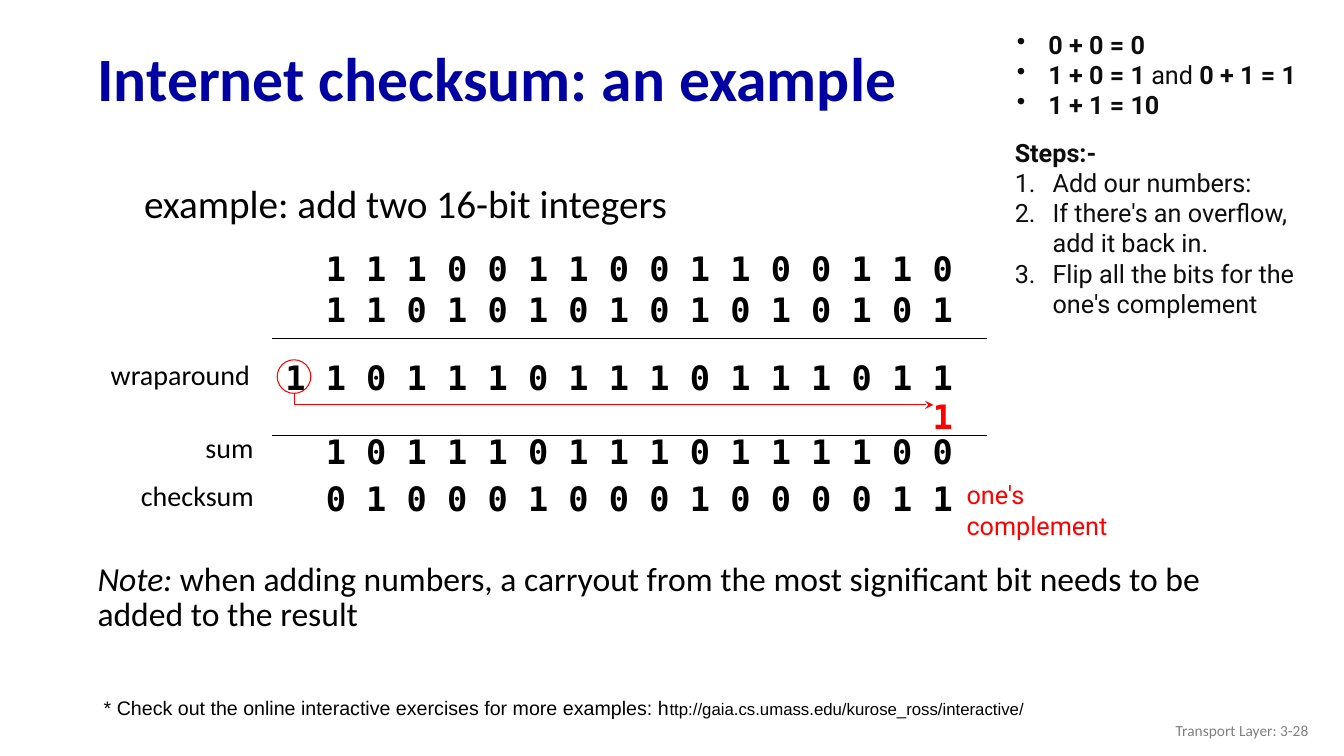
from pptx import Presentation
from pptx import util as u
from pptx.dml.color import RGBColor
from pptx.enum import shapes, text
from pptx.oxml.ns import qn
from lxml import etree

Pt = u.Pt
BLACK, RED, INK = "000000", "FF0000", "0D0D0D"
MONO_ADVANCE = 14.45
INSET = 7.2


def color(value):
    return RGBColor.from_string(value)


def add_text(slide, box, paragraphs, size, font="Calibri", ink=BLACK, bold=False, wrap=True):
    frame = slide.shapes.add_textbox(*map(Pt, box)).text_frame
    frame.word_wrap = wrap
    for index, parts in enumerate(paragraphs):
        paragraph = frame.add_paragraph() if index else frame.paragraphs[0]
        for part in parts:
            paragraph.add_run().text = part
        for run in paragraph.runs:
            run.font.size, run.font.name, run.font.bold = Pt(size), font, bold
            run.font.color.rgb = color(ink)
    return frame


def add_marker(paragraph, indent, tag, **attributes):
    properties = paragraph._p.get_or_add_pPr()
    properties.set("marL", str(Pt(indent)))
    properties.set("indent", str(-Pt(indent)))
    etree.SubElement(properties, qn(tag), attributes)


def add_rule(slide, left, right, y):
    rule = slide.shapes.add_connector(
        shapes.MSO_CONNECTOR.STRAIGHT, Pt(left), Pt(y), Pt(right), Pt(y))
    rule.line.color.rgb = color(BLACK)
    rule.line.width = Pt(1)
    etree.SubElement(rule._element.spPr, qn("a:effectLst"))


def outline_red(mark):
    mark.shadow.inherit = False
    mark.fill.background()
    mark.line.color.rgb = color(RED)
    mark.line.width = Pt(0.75)


def add_heading(slide, box):
    frame = add_text(slide, box, [["Internet checksum: an example"]], 44, ink="0000A3", bold=True)
    frame.vertical_anchor = text.MSO_ANCHOR.MIDDLE
    frame.paragraphs[0].line_spacing = 0.9


def add_example_line(slide, box):
    frame = add_text(slide, box, [["example: add two 16-bit integers"]], 28)
    frame.paragraphs[0].line_spacing = 1.3


def add_carry_arrow(slide, left, top):
    ring = slide.shapes.add_shape(
        shapes.MSO_SHAPE.OVAL, Pt(left), Pt(top), Pt(24), Pt(24))
    outline_red(ring)
    start_x, start_y = left + 12.2, top + 24.5
    builder = slide.shapes.build_freeform(Pt(start_x), Pt(start_y))
    builder.add_line_segments(
        [(Pt(start_x), Pt(start_y + 7.7)), (Pt(start_x + 456.5), Pt(start_y + 7.7))], close=False)
    arrow = builder.convert_to_shape()
    outline_red(arrow)
    etree.SubElement(arrow.line._get_or_add_ln(), qn("a:tailEnd"), type="stealth")


def add_addition(slide, box):
    left, top, width, _ = box
    right = left + width
    rows = [
        ("1110011001100110", 0, BLACK),
        ("1101010101010101", 29.5, BLACK),
        ("11011101110111011", 77.8, BLACK),
        ("1", 105.8, RED),
        ("1011101110111100", 131, BLACK),
        ("0100010001000011", 164.2, BLACK),
    ]
    for bits, offset, ink in rows:
        digits = " ".join(bits)
        row_width = len(digits) * MONO_ADVANCE + 2 * INSET
        add_text(slide, (right - 17 - row_width, top + offset, row_width, 36),
                 [[digits]], 24, "DejaVu Sans Mono", ink, bold=True, wrap=False)

    labels = [("wraparound", 0, 78.5, 114.5), ("sum", 67.7, 130.4, 50.4), ("checksum", 21.6, 165, 96.5)]
    for label, indent, offset, label_width in labels:
        add_text(slide, (left + indent, top + offset, label_width, 31.5), [[label]], 20, wrap=False)

    for offset in (68.4, 137.5):
        add_rule(slide, left + 122.5, right, top + offset)
    add_carry_arrow(slide, left + 126, top + 83.5)
    add_text(slide, (right - 21.7, top + 165.6, 159.8, 29),
             [["one's complement"]], 18, "Roboto", RED)


def add_binary_rules(slide, box):
    frame = add_text(slide, box, [["0 + 0 = 0"], ["1 + 0 = 1", " and ", "0 + 1 = 1"], ["1 + 1 = 10"]],
                     18, "Roboto", INK, bold=True)
    for paragraph in frame.paragraphs:
        add_marker(paragraph, 22.5, "a:buChar", char="•")
    frame.paragraphs[1].runs[1].font.bold = False


def add_steps(slide, box):
    frame = add_text(slide, box, [
        ["Steps:-"],
        ["Add our numbers:"],
        ["If there's an overflow, add it back in."],
        ["Flip all the bits for the one's complement"],
    ], 18, "Roboto", INK)
    heading, *steps = frame.paragraphs
    heading.runs[0].font.bold = True
    for step in steps:
        add_marker(step, 27, "a:buAutoNum", type="arabicPeriod")


def add_note(slide, box):
    frame = add_text(slide, box, [[
        "Note:",
        " when adding numbers, a carryout from the most significant bit needs to be added to the result",
    ]], 24)
    note = frame.paragraphs[0]
    note.line_spacing = 0.85
    note.runs[0].font.italic = True


def add_exercises(slide, box):
    frame = add_text(slide, box, [[
        "* Check out the online interactive exercises for more examples: h",
        "ttp://gaia.cs.umass.edu/kurose_ross/interactive/",
    ]], 14, "Arial")
    frame.paragraphs[0].runs[1].font.size = Pt(12)


def add_footer(slide, box):
    frame = add_text(slide, box, [["Transport Layer: 3-28"]], 11, ink="808080")
    frame.vertical_anchor = text.MSO_ANCHOR.MIDDLE
    frame.paragraphs[0].alignment = text.PP_ALIGN.RIGHT


def main():
    deck = Presentation()
    deck.slide_width, deck.slide_height = Pt(960), Pt(540)
    slide = deck.slides.add_slide(deck.slide_layouts[6])
    add_heading(slide, (62.6, 23, 874, 70.6))
    add_example_line(slide, (95.8, 114.5, 612, 216))
    add_addition(slide, (72, 173.5, 633, 200))
    add_note(slide, (62.6, 399.6, 816.5, 85))
    add_exercises(slide, (67, 493.2, 776, 24.5))
    add_footer(slide, (725.8, 507.6, 216, 28.8))
    add_binary_rules(slide, (719.3, 17.3, 247.7, 72.7))
    add_steps(slide, (717.8, 94.3, 239.8, 138.2))
    deck.save("out.pptx")


if __name__ == "__main__":
    main()
